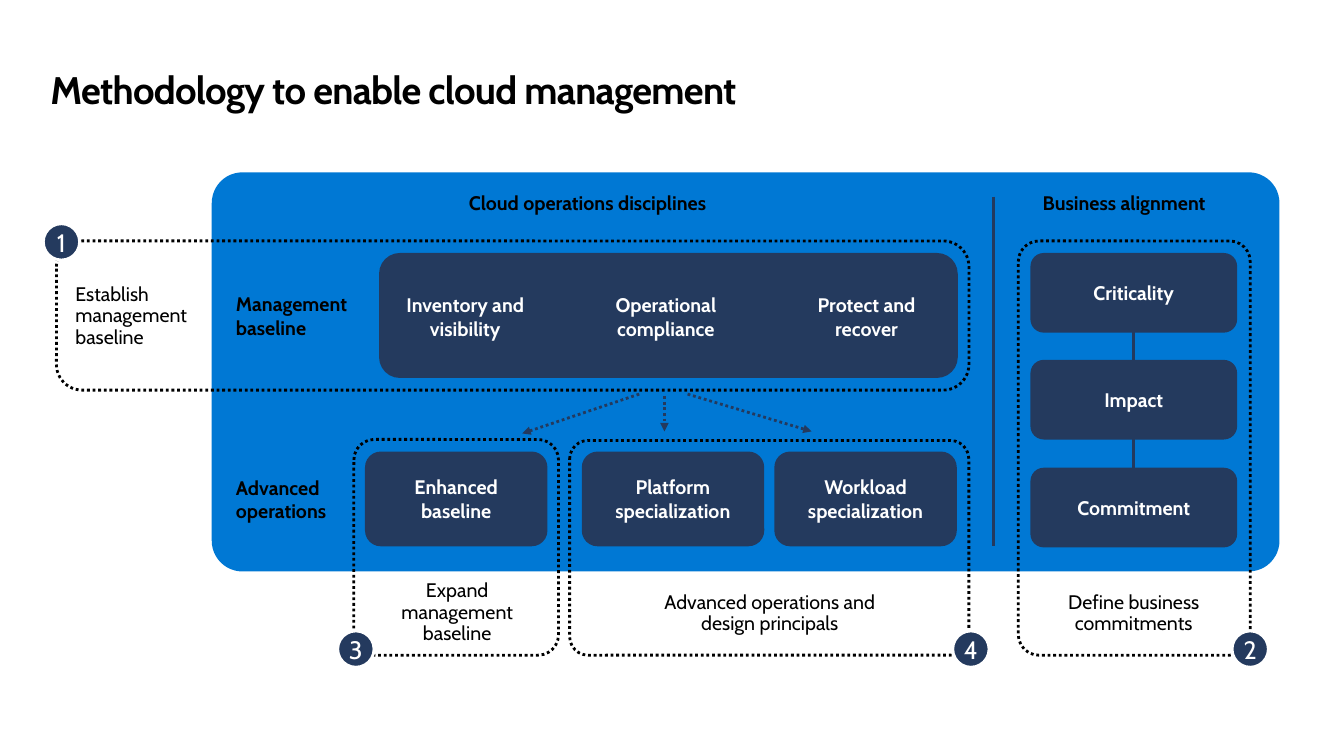
"""Draw the cloud management methodology slide."""
import dataclasses
import typing

import lxml.etree
import pptx
import pptx.dml.color
import pptx.enum.dml
import pptx.enum.shapes
import pptx.enum.text
import pptx.oxml.ns
import pptx.util

PX = 9144
FONT = "Cabin"
COLOURS = {"panel": "0078D4", "navy": "243A5E", "black": "000000", "white": "FFFFFF"}
SHAPES = pptx.enum.shapes.MSO_SHAPE
ANCHOR = pptx.enum.text.MSO_ANCHOR
ALIGN = pptx.enum.text.PP_ALIGN
AUTO = pptx.enum.text.MSO_AUTO_SIZE
DOTS = pptx.enum.dml.MSO_LINE.ROUND_DOT

Area = tuple[int, int, int, int]


@dataclasses.dataclass(frozen=True)
class TextStyle:
    size: float = 14
    colour: str = "white"
    bold: bool = True
    align: typing.Any = ALIGN.CENTER
    anchor: typing.Any = ANCHOR.MIDDLE
    insets: Area = (0, 0, 0, 0)
    spacing: typing.Any = None
    wrap: bool = True
    auto_size: typing.Any = AUTO.NONE


@dataclasses.dataclass(frozen=True)
class Block:
    area: Area
    fill: str | None = "navy"
    outline: str | None = None
    dotted: bool = False
    corner: float | None = None
    shape: typing.Any = SHAPES.ROUNDED_RECTANGLE
    text: str = ""


@dataclasses.dataclass(frozen=True)
class Label:
    area: Area
    text: str
    style: TextStyle


@dataclasses.dataclass(frozen=True)
class Link:
    start: tuple[int, int]
    end: tuple[int, int]
    arrow: bool = False


HEADING = TextStyle(colour="black", align=ALIGN.LEFT, anchor=ANCHOR.TOP, wrap=False,
                    auto_size=AUTO.SHAPE_TO_FIT_TEXT)
DISCIPLINE = TextStyle()
BOX = TextStyle(insets=(20, 16, 20, 16))
CAPTION = TextStyle(colour="black", bold=False, insets=(10, 5, 10, 5), spacing=0.9,
                    auto_size=AUTO.SHAPE_TO_FIT_TEXT)
LEFT_CAPTION = dataclasses.replace(CAPTION, align=ALIGN.LEFT)
BADGE = TextStyle(size=18, bold=False, insets=(0, 5, 0, 0), spacing=0.9)
TITLE = TextStyle(size=27.4, colour="black", align=ALIGN.LEFT, anchor=ANCHOR.TOP,
                  spacing=pptx.util.Pt(31.4), auto_size=AUTO.SHAPE_TO_FIT_TEXT)

PANELS = [Block((210, 171, 1059, 396), "panel", corner=0.077)] + [
    Block(area, None, "black", True, corner)
    for area, corner in (
        ((1010, 239, 230, 411), 0.089),
        ((351, 436, 203, 214), 0.1),
        ((565, 437, 396, 213), 0.086),
        ((56, 239, 905, 148), 0.172),
    )
]
LINKS = [
    Link((634, 391), (518, 430), True),
    Link((682, 391), (805, 428), True),
    Link((659, 393), (659, 428), True),
    Link((1124, 314), (1124, 492)),
    Link((985, 195), (985, 542)),
]
BOXES = [Block((376, 251, 574, 124))] + [
    Block((left, 448, 181, 94), text=text)
    for left, text in (
        (362, "Enhanced baseline"),
        (577, "Platform specialization"),
        (768, "Workload specialization"),
    )
] + [
    Block((1022, 251 + round(106.5 * row), 205, 79), text=text)
    for row, text in enumerate(("Criticality", "Impact", "Commitment"))
]
LABELS = [
    Label((465, 189, 259, 24), "Cloud operations disciplines", HEADING),
    Label((1034, 189, 178, 24), "Business alignment", HEADING),
    Label((234, 290, 123, 47), "Management\nbaseline", HEADING),
    Label((234, 472, 99, 47), "Advanced\noperations", HEADING),
    Label((383, 283, 157, 62), "Inventory and visibility", DISCIPLINE),
    Label((582, 283, 157, 62), "Operational compliance", DISCIPLINE),
    Label((781, 283, 157, 62), "Protect and recover", DISCIPLINE),
    Label((65, 277, 146, 74), "Establish management baseline", LEFT_CAPTION),
    Label((1037, 582, 175, 53), "Define business commitments", CAPTION),
    Label((382, 571, 143, 74), "Expand management baseline", CAPTION),
    Label((638, 582, 251, 53), "Advanced operations and design principals", CAPTION),
]
BADGES = [
    Block((left, top, 36, 36), outline="white", shape=SHAPES.OVAL, text=str(number))
    for number, (left, top) in enumerate(((43, 222), (1222, 626), (335, 626), (945, 626)), 1)
]


def scaled(lengths: typing.Iterable[int]) -> list[int]:
    """Turn px into EMU."""
    return [length * PX for length in lengths]


def rgb(name: str) -> pptx.dml.color.RGBColor:
    """Look up a named colour."""
    return pptx.dml.color.RGBColor.from_string(COLOURS[name])


def write(box: typing.Any, text: str, style: TextStyle) -> None:
    """Fill a shape with styled text, one paragraph a line."""
    frame = box.text_frame
    frame.auto_size = style.auto_size
    frame.word_wrap = style.wrap
    frame.vertical_anchor = style.anchor
    (frame.margin_left, frame.margin_top,
     frame.margin_right, frame.margin_bottom) = scaled(style.insets)
    for index, line in enumerate(text.split("\n")):
        para = frame.add_paragraph() if index else frame.paragraphs[0]
        para.alignment = style.align
        if style.spacing is not None:
            para.line_spacing = style.spacing
        span = para.add_run()
        span.text = line
        span.font.name = FONT
        span.font.size = pptx.util.Pt(style.size)
        span.font.bold = style.bold
        span.font.color.rgb = rgb(style.colour)


def draw_block(page: typing.Any, block: Block, style: TextStyle = BOX) -> None:
    """Draw a preset shape with its text."""
    box = page.shapes.add_shape(block.shape, *scaled(block.area))
    box.shadow.inherit = False
    if block.corner is not None:
        box.adjustments[0] = block.corner
    if block.fill:
        box.fill.solid()
        box.fill.fore_color.rgb = rgb(block.fill)
    else:
        box.fill.background()
    if block.outline:
        box.line.color.rgb = rgb(block.outline)
        box.line.width = pptx.util.Pt(2)
        if block.dotted:
            box.line.dash_style = DOTS
    else:
        box.line.fill.background()
    if block.text:
        write(box, block.text, style)


def draw_label(page: typing.Any, label: Label) -> None:
    """Draw a text box."""
    write(page.shapes.add_textbox(*scaled(label.area)), label.text, label.style)


def draw_link(page: typing.Any, link: Link) -> None:
    """Draw a plain line or a dotted arrow."""
    connector = page.shapes.add_connector(
        pptx.enum.shapes.MSO_CONNECTOR.STRAIGHT, *scaled(link.start + link.end))
    connector.line.color.rgb = rgb("navy")
    connector.line.width = pptx.util.Pt(2)
    qn = pptx.oxml.ns.qn
    properties = connector._element.spPr
    if link.arrow:
        connector.line.dash_style = DOTS
        lxml.etree.SubElement(properties.find(qn("a:ln")), qn("a:tailEnd"), type="triangle")
    lxml.etree.SubElement(properties, qn("a:effectLst"))


def main() -> None:
    """Build and save the deck."""
    deck = pptx.Presentation()
    deck.slide_width, deck.slide_height = scaled((1333, 750))
    page = deck.slides.add_slide(deck.slide_layouts[5])
    title = page.shapes.title
    title.left, title.top, title.width, title.height = scaled((50, 68, 786, 44))
    write(title, "Methodology to enable cloud management", TITLE)
    title.text_frame.paragraphs[0].runs[0]._r.get_or_add_rPr().set("spc", "-50")
    for panel in PANELS:
        draw_block(page, panel)
    for link in LINKS:
        draw_link(page, link)
    for box in BOXES:
        draw_block(page, box)
    for label in LABELS:
        draw_label(page, label)
    for badge in BADGES:
        draw_block(page, badge, BADGE)
    deck.save("out.pptx")


if __name__ == "__main__":
    main()
